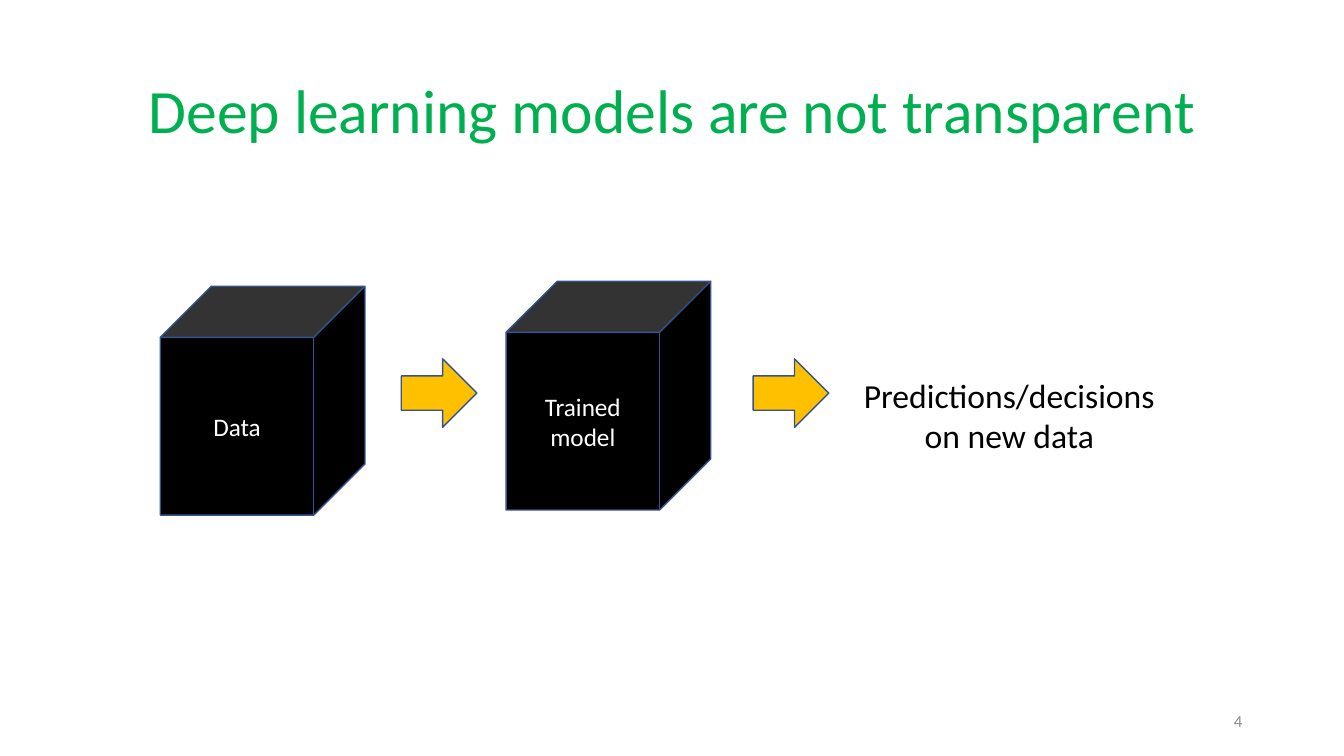
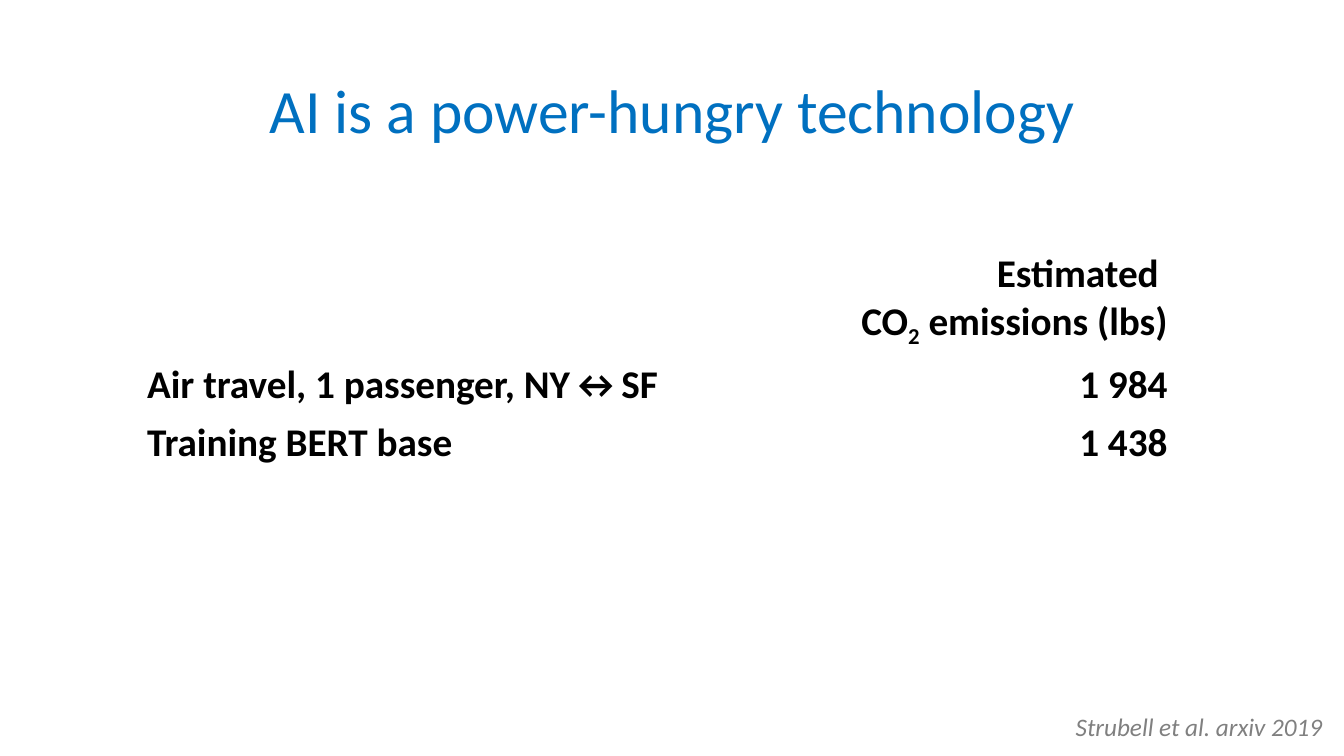
from pptx import Presentation
from pptx.dml.color import RGBColor
from pptx.enum.shapes import MSO_SHAPE
from pptx.enum.text import MSO_ANCHOR, MSO_AUTO_SIZE, PP_ALIGN
from pptx.util import Inches, Pt

LEFT, CENTER, RIGHT = PP_ALIGN.LEFT, PP_ALIGN.CENTER, PP_ALIGN.RIGHT
TOP, MIDDLE = MSO_ANCHOR.TOP, MSO_ANCHOR.MIDDLE
NO_FIT = MSO_AUTO_SIZE.NONE
CUBE, ARROW = MSO_SHAPE.CUBE, MSO_SHAPE.RIGHT_ARROW
TITLE_ONLY = 5

FONT = "Calibri"
BLACK, WHITE = "000000", "FFFFFF"
GREEN, BLUE = "00B050", "0070C0"
GOLD, OUTLINE = "FFC000", "325491"
NUMBER_GREY, SOURCE_GREY = "8C8C8C", "808080"

EMISSIONS = [("Air travel, 1 passenger, NY↔SF", "1 984"),
             ("Training BERT base", "1 438")]


def rgb(value):
    return RGBColor.from_string(value)


def add_run(p, text, size, color, bold=False, italic=False, baseline=None):
    r = p.add_run()
    r.text = text
    font = r.font
    font.name, font.size = FONT, Pt(size)
    font.bold, font.italic = bold, italic
    font.color.rgb = rgb(color)
    if baseline is not None:
        r._r.get_or_add_rPr().set("baseline", str(baseline))


def write(tf, lines, size, color, align=LEFT, **style):
    for i, line in enumerate(lines):
        p = tf.paragraphs[0] if i == 0 else tf.add_paragraph()
        p.alignment = align
        add_run(p, line, size, color, **style)


def add_text(slide, box, lines, size, color, align=LEFT, anchor=TOP,
             wrap=False, **style):
    sp = slide.shapes.add_textbox(*map(Inches, box))
    tf = sp.text_frame
    tf.word_wrap = wrap
    tf.vertical_anchor = anchor
    write(tf, lines, size, color, align, **style)


def add_block(slide, kind, box, fill, label=None):
    sp = slide.shapes.add_shape(kind, *map(Inches, box))
    sp.shadow.inherit = False
    sp.fill.solid()
    sp.fill.fore_color.rgb = rgb(fill)
    sp.line.color.rgb = rgb(OUTLINE)
    sp.line.width = Pt(1)
    if label:
        sp.text_frame.vertical_anchor = MIDDLE
        write(sp.text_frame, [label], 18, WHITE, CENTER)


def add_titled_slide(prs, text, color):
    slide = prs.slides.add_slide(prs.slide_layouts[TITLE_ONLY])
    title = slide.shapes.title
    title.left, title.top = Inches(0.92), Inches(0.4)
    title.width, title.height = Inches(11.5), Inches(1.45)
    tf = title.text_frame
    tf.auto_size = NO_FIT
    tf.vertical_anchor = MIDDLE
    write(tf, [text], 44, color, CENTER)
    tf.paragraphs[0].line_spacing = 0.9
    return slide


def add_pipeline(slide, left, top):
    for label, dx, dy in [("Data", 0, 0.05), ("Trained model", 3.43, 0)]:
        add_block(slide, CUBE, (left + dx, top + dy, 2.03, 2.27), BLACK, label)
    for dx in (2.39, 5.88):
        add_block(slide, ARROW, (left + dx, top + 0.77, 0.75, 0.68), GOLD)
    add_text(slide, (left + 6.86, top + 0.88, 3.12, 0.91),
             ["Predictions/decisions", "on new data"], 24, BLACK, CENTER)


def add_emissions_table(slide, left, top, widths, heights):
    box = (left, top, sum(widths), sum(heights))
    table = slide.shapes.add_table(len(heights), len(widths),
                                   *map(Inches, box)).table
    table.first_row = table.horz_banding = False
    for column, width in zip(table.columns, widths):
        column.width = Inches(width)
    for row, height in zip(table.rows, heights):
        row.height = Inches(height)
    for cell in table.iter_cells():
        cell.fill.background()

    tf = table.cell(0, 1).text_frame
    write(tf, ["Estimated ", "CO"], 28, BLACK, RIGHT, bold=True)
    p = tf.paragraphs[1]
    add_run(p, "2", 28, BLACK, bold=True, baseline=-25000)
    add_run(p, " emissions (lbs)", 28, BLACK, bold=True)
    for i, values in enumerate(EMISSIONS, 1):
        for j, (value, align) in enumerate(zip(values, (LEFT, RIGHT))):
            write(table.cell(i, j).text_frame, [value], 28, BLACK, align,
                  bold=True)


def build_transparency(prs):
    slide = add_titled_slide(prs, "Deep learning models are not transparent",
                             GREEN)
    add_pipeline(slide, 1.59, 2.79)
    add_text(slide, (9.42, 6.95, 3, 0.4), ["4"], 12, NUMBER_GREY, RIGHT,
             MIDDLE, wrap=True)


def build_power(prs):
    slide = add_titled_slide(prs, "AI is a power-hungry technology", BLUE)
    add_emissions_table(slide, 1.36, 2.43, (5.76, 4.56), (1.05, 0.57, 0.57))
    add_text(slide, (10.57, 7.01, 2.68, 0.4), ["Strubell et al. arxiv 2019"],
             18, SOURCE_GREY, italic=True)


def main():
    prs = Presentation()
    prs.slide_width, prs.slide_height = Inches(13.33), Inches(7.5)
    build_transparency(prs)
    build_power(prs)
    prs.save("out.pptx")


if __name__ == "__main__":
    main()
